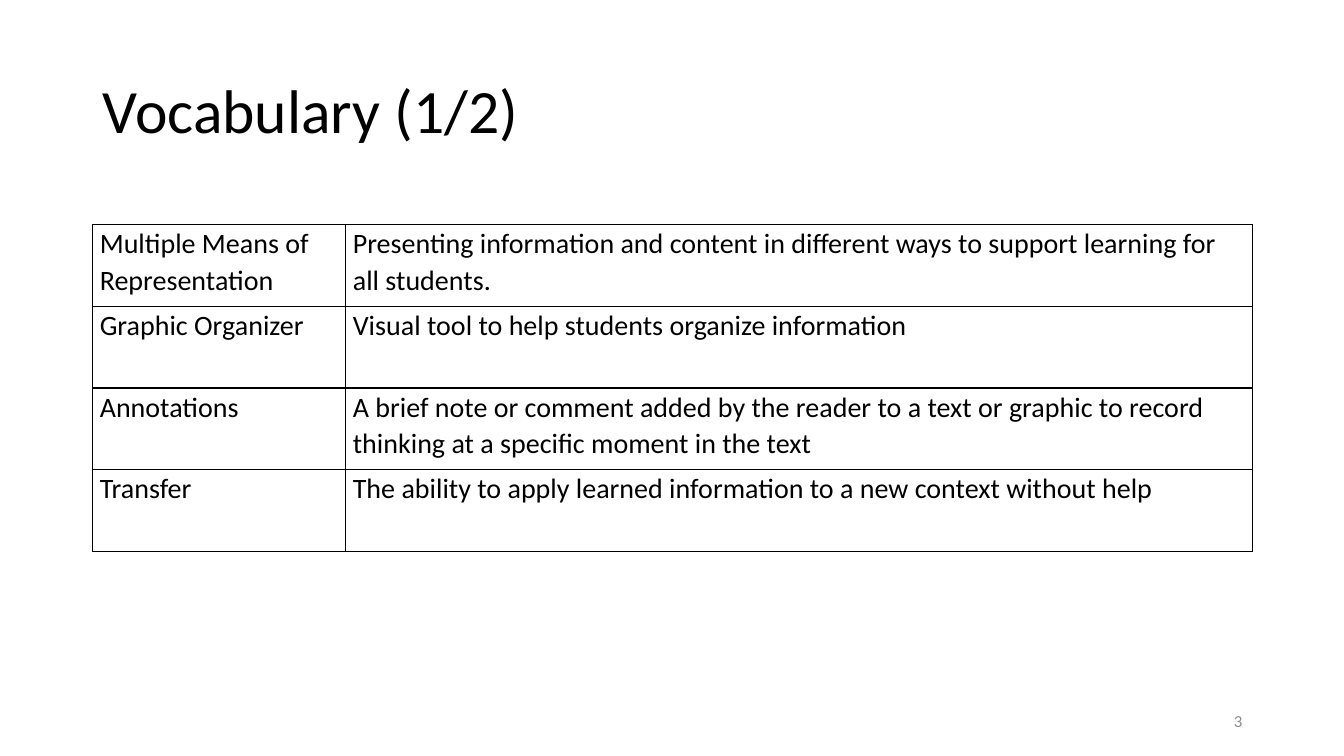
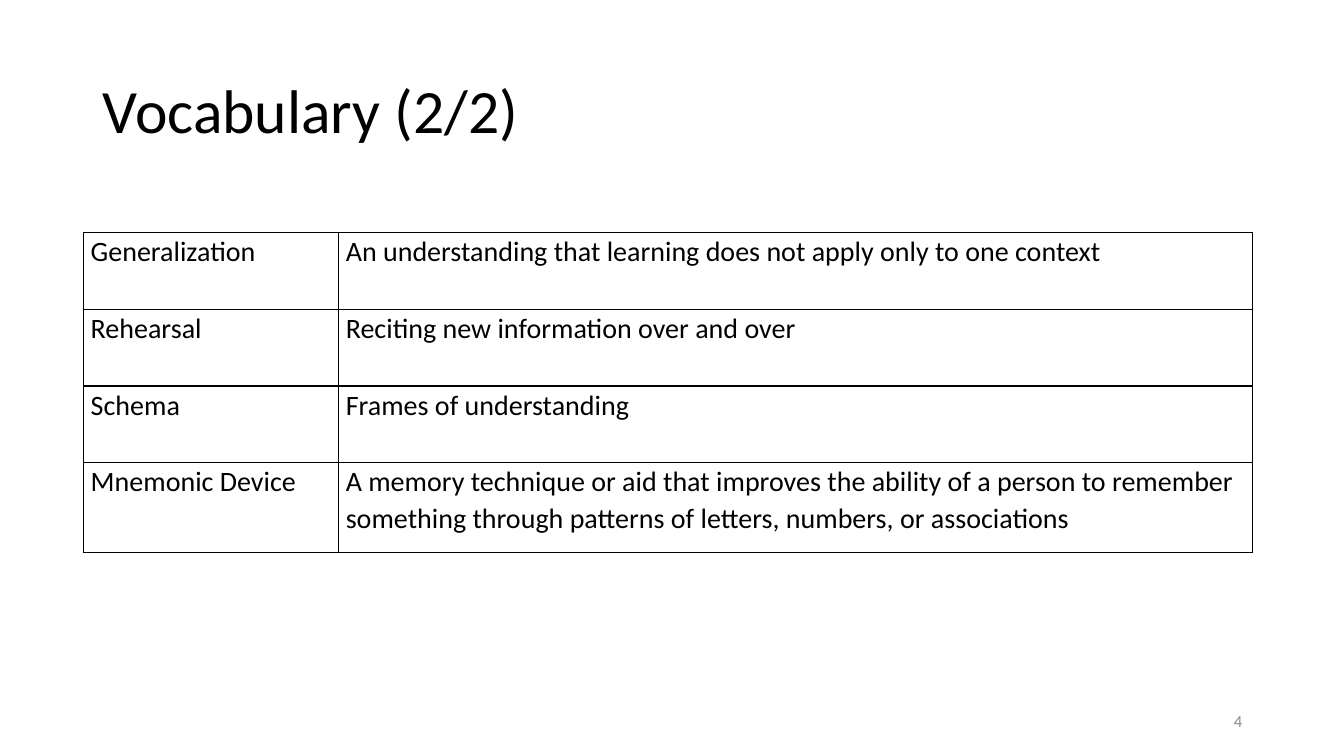
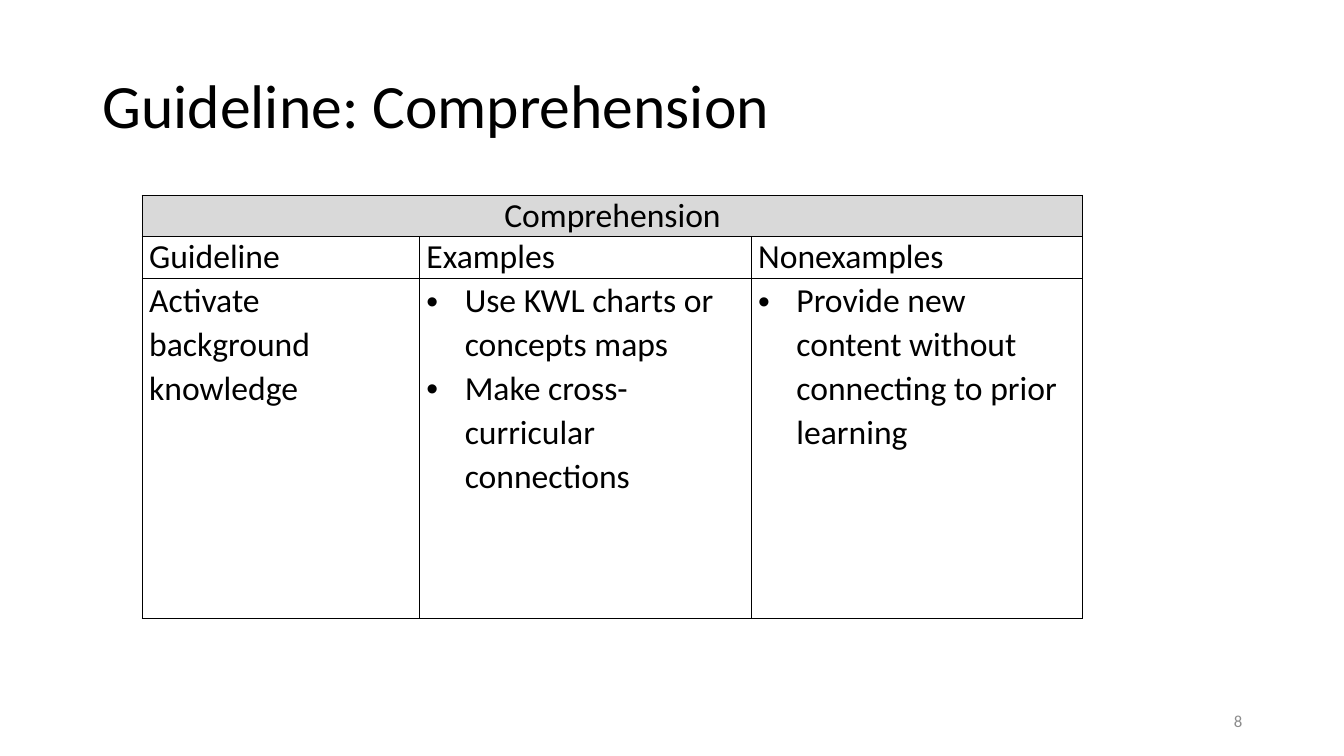
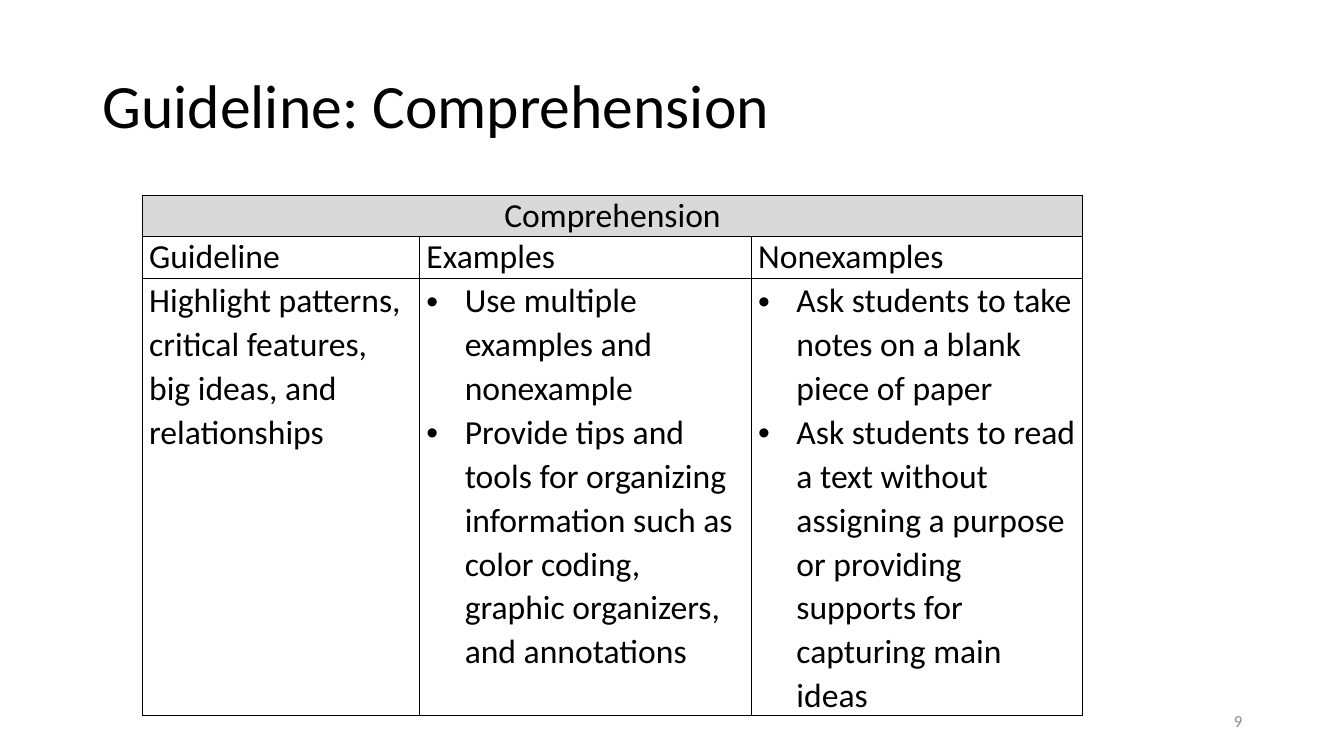
from dataclasses import dataclass
from lxml import etree
from pptx import Presentation
from pptx.dml.color import RGBColor
from pptx.enum.text import MSO_ANCHOR, PP_ALIGN
from pptx.oxml.ns import qn
from pptx.util import Inches, Pt

LEFT, MID, RIGHT = PP_ALIGN.LEFT, PP_ALIGN.CENTER, PP_ALIGN.RIGHT
CENTRE = MSO_ANCHOR.MIDDLE


@dataclass(frozen=True)
class Theme:
    font: str = "Calibri"
    ink: str = "000000"
    grey: str = "8C8C8C"
    band: str = "D9D9D9"
    title: int = 44
    term: int = 20
    guide: int = 24
    foot: int = 12
    lead: float = 1.07
    tight: float = 0.9
    indent: float = 0.38
    edge: float = 1


THEME = Theme()

TERMS = [
    dict(
        title="Vocabulary (1/2)", page="3", at=(0.92, 2.23),
        cols=(2.51, 8.99), rows=(0.81, 0.81, 0.81, 0.81),
        cells=[
            ("Multiple Means of Representation",
             "Presenting information and content in different ways to support learning for all students."),
            ("Graphic Organizer", "Visual tool to help students organize information"),
            ("Annotations",
             "A brief note or comment added by the reader to a text or graphic to record thinking at a specific moment in the text"),
            ("Transfer", "The ability to apply learned information to a new context without help"),
        ],
    ),
    dict(
        title="Vocabulary (2/2)", page="4", at=(0.83, 2.31),
        cols=(2.53, 9.06), rows=(0.76, 0.76, 0.76, 0.89),
        cells=[
            ("Generalization", "An understanding that learning does not apply only to one context"),
            ("Rehearsal", "Reciting new information over and over"),
            ("Schema", "Frames of understanding"),
            ("Mnemonic Device",
             "A memory technique or aid that improves the ability of a person to remember something through patterns of letters, numbers, or associations"),
        ],
    ),
]

GUIDES = [
    dict(
        page="8", depth=3.38,
        cells=("Activate background knowledge",
               ["Use KWL charts or concepts maps", "Make cross-curricular connections"],
               ["Provide new content without connecting to prior learning"]),
    ),
    dict(
        page="9", depth=4.34,
        cells=("Highlight patterns, critical features, big ideas, and relationships",
               ["Use multiple examples and nonexample",
                "Provide tips and tools for organizing information such as color coding, graphic organizers, and annotations"],
               ["Ask students to take notes on a blank piece of paper",
                "Ask students to read a text without assigning a purpose or providing supports for capturing main ideas"]),
    ),
]
TOPIC = "Comprehension"
HEADS = ("Guideline", "Examples", "Nonexamples")


def write(frame, text, size, color=THEME.ink, align=LEFT, lead=1.0):
    items = text if isinstance(text, list) else [text]
    for i, item in enumerate(items):
        para = frame.paragraphs[0] if i == 0 else frame.add_paragraph()
        if isinstance(text, list):
            props = para._p.get_or_add_pPr()
            props.set("marL", str(Inches(THEME.indent)))
            props.set("indent", str(-Inches(THEME.indent)))
            etree.SubElement(props, qn("a:buFont")).set("typeface", "Arial")
            etree.SubElement(props, qn("a:buChar")).set("char", "•")
        para.alignment = align
        para.line_spacing = lead
        run = para.add_run()
        run.text = item
        run.font.name = THEME.font
        run.font.size = Pt(size)
        run.font.color.rgb = RGBColor.from_string(color)


def add_box(slide, area, text, **form):
    frame = slide.shapes.add_textbox(*map(Inches, area)).text_frame
    frame.word_wrap = True
    frame.vertical_anchor = CENTRE
    write(frame, text, **form)


def add_frame(deck, title, page, top):
    slide = deck.slides.add_slide(deck.slide_layouts[6])
    add_box(slide, (0.92, top, 11.5, 1.45), title, size=THEME.title, lead=THEME.tight)
    add_box(slide, (9.42, 6.95, 3, 0.4), page, size=THEME.foot, color=THEME.grey, align=RIGHT)
    return slide


def set_edges(cell):
    props = cell._tc.get_or_add_tcPr()
    for side in ("lnL", "lnR", "lnT", "lnB"):
        line = etree.SubElement(props, qn(f"a:{side}"), w=str(Pt(THEME.edge)))
        fill = etree.SubElement(line, qn("a:solidFill"))
        etree.SubElement(fill, qn("a:srgbClr"), val=THEME.ink)


def add_grid(slide, at, cols, rows):
    area = (*at, sum(cols), sum(rows))
    grid = slide.shapes.add_table(len(rows), len(cols), *map(Inches, area)).table
    grid.first_row = grid.horz_banding = False
    for col, width in zip(grid.columns, cols):
        col.width = Inches(width)
    for row, height in zip(grid.rows, rows):
        row.height = Inches(height)
    for cell in grid.iter_cells():
        cell.margin_left = cell.margin_right = Inches(0.07)
        cell.margin_top = cell.margin_bottom = 0
        set_edges(cell)
        cell.fill.background()
    return grid


def fill_row(grid, row, texts, **form):
    for col, text in enumerate(texts):
        write(grid.cell(row, col).text_frame, text, **form)


def add_terms(deck, page):
    slide = add_frame(deck, page["title"], page["page"], 0.4)
    grid = add_grid(slide, page["at"], page["cols"], page["rows"])
    for row, texts in enumerate(page["cells"]):
        fill_row(grid, row, texts, size=THEME.term, lead=THEME.lead)


def add_guide(deck, page):
    slide = add_frame(deck, f"Guideline: {TOPIC}", page["page"], 0.35)
    grid = add_grid(slide, (1.41, 1.94), (2.75, 3.29, 3.29), (0.41, 0.41, page["depth"]))
    head = grid.cell(0, 0)
    head.merge(grid.cell(0, 2))
    head.fill.solid()
    head.fill.fore_color.rgb = RGBColor.from_string(THEME.band)
    write(head.text_frame, TOPIC, size=THEME.guide, align=MID)
    fill_row(grid, 1, HEADS, size=THEME.guide)
    fill_row(grid, 2, page["cells"], size=THEME.guide, lead=THEME.lead)


def main():
    deck = Presentation()
    deck.slide_width, deck.slide_height = Inches(13.33), Inches(7.5)
    for page in TERMS:
        add_terms(deck, page)
    for page in GUIDES:
        add_guide(deck, page)
    deck.save("out.pptx")


if __name__ == "__main__":
    main()
